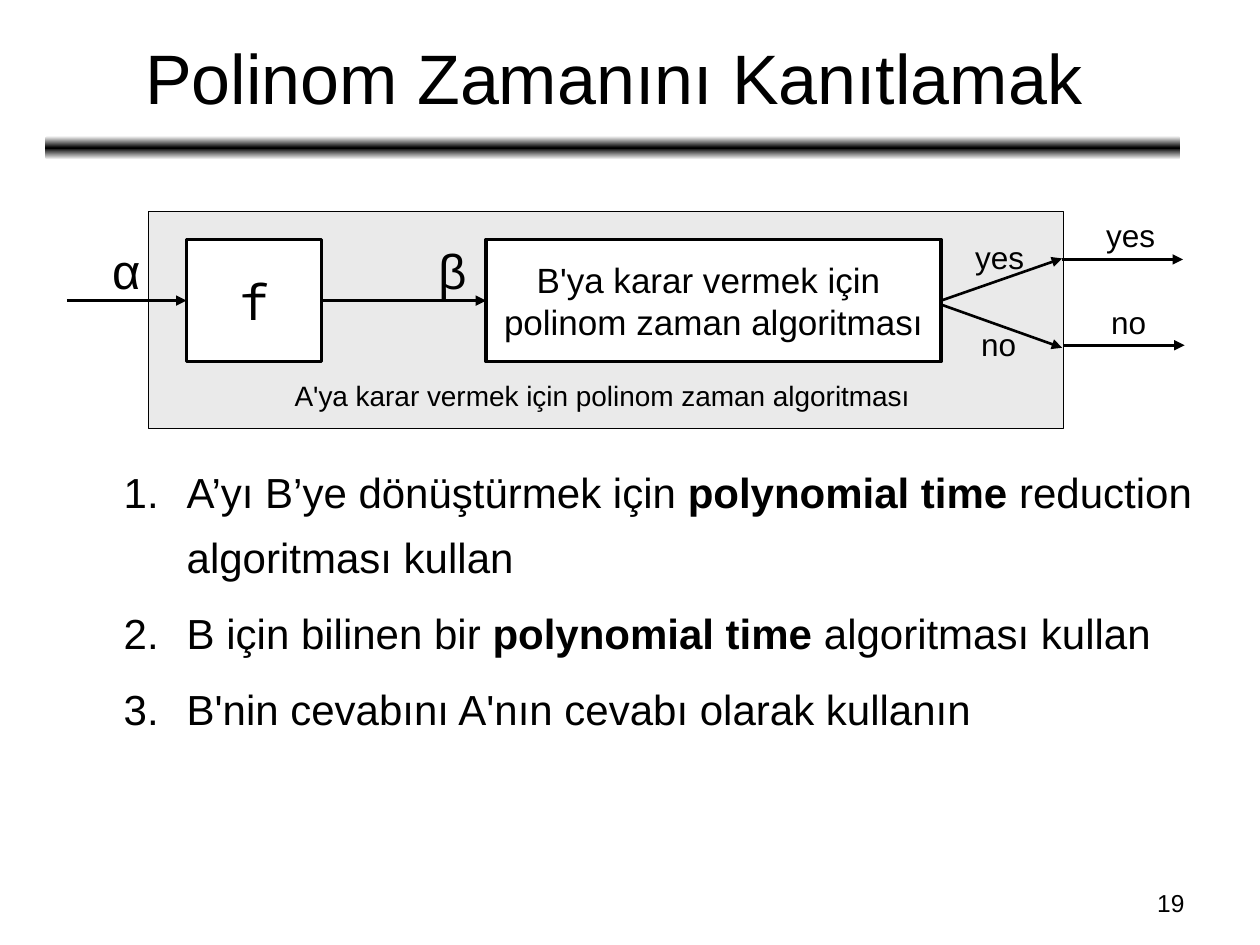
"""Build the slide on proving polynomial time by reduction."""
from copy import deepcopy
from dataclasses import dataclass
from typing import Optional

from lxml.etree import SubElement
from pptx import Presentation
from pptx.dml.color import RGBColor
from pptx.enum.shapes import MSO_CONNECTOR, MSO_SHAPE
from pptx.enum.text import MSO_ANCHOR, MSO_AUTO_SIZE, PP_ALIGN
from pptx.oxml.ns import qn
from pptx.util import Cm, Pt

BLACK = "000000"
WHITE = "FFFFFF"
TOP, LEFT, BOTTOM, RIGHT = range(4)


@dataclass
class Area:
    left: float
    top: float
    width: float
    height: float

    def lengths(self) -> list:
        return [Cm(value) for value in (self.left, self.top, self.width, self.height)]


@dataclass
class Block:
    area: Area
    lines: list[str]
    size: int
    fill: str = WHITE
    border: float = 2
    font: str = "Arial"
    anchor: MSO_ANCHOR = MSO_ANCHOR.MIDDLE
    bottom_inset: float = 0.13


@dataclass
class Label:
    text: str
    area: Area
    size: int = 18


@dataclass
class Arrow:
    start: tuple[float, float]
    end: tuple[float, float]
    source: Optional[object] = None
    target: Optional[object] = None


def color(value: str) -> RGBColor:
    return RGBColor.from_string(value)


def style_paragraph(para, size: int, align=PP_ALIGN.LEFT, font: str = "Arial") -> None:
    para.alignment = align
    para.font.size = Pt(size)
    para.font.name = font
    para.font.color.rgb = color(BLACK)


def place(shape, area: Area) -> None:
    shape.left, shape.top, shape.width, shape.height = area.lengths()


def draw_rule(page, area: Area) -> None:
    bar = page.shapes.add_shape(MSO_SHAPE.ROUNDED_RECTANGLE, *area.lengths())
    bar.shadow.inherit = False
    bar.line.fill.background()
    bar.fill.gradient()
    bar.fill.gradient_angle = 90
    stop_list = bar._element.spPr.find(qn("a:gradFill")).find(qn("a:gsLst"))
    stop_list.append(deepcopy(stop_list[-1]))
    for stop, position, shade in zip(bar.fill.gradient_stops, (0, 0.5, 1), (WHITE, BLACK, WHITE)):
        stop.position = position
        stop.color.rgb = color(shade)


def draw_block(page, block: Block):
    box = page.shapes.add_shape(MSO_SHAPE.RECTANGLE, *block.area.lengths())
    box.shadow.inherit = False
    box.fill.solid()
    box.fill.fore_color.rgb = color(block.fill)
    box.line.color.rgb = color(BLACK)
    box.line.width = Pt(block.border)
    frame = box.text_frame
    frame.word_wrap = False
    frame.vertical_anchor = block.anchor
    frame.margin_bottom = Cm(block.bottom_inset)
    frame.text = "\n".join(block.lines)
    for para in frame.paragraphs:
        style_paragraph(para, block.size, PP_ALIGN.CENTER, block.font)
    return box


def draw_label(page, label: Label, align=PP_ALIGN.LEFT) -> None:
    box = page.shapes.add_textbox(*label.area.lengths())
    box.text_frame.word_wrap = False
    box.text_frame.text = label.text
    style_paragraph(box.text_frame.paragraphs[0], label.size, align)


def draw_arrow(page, arrow: Arrow) -> None:
    ends = [Cm(value) for value in arrow.start + arrow.end]
    connector = page.shapes.add_connector(MSO_CONNECTOR.STRAIGHT, *ends)
    if arrow.source is not None:
        connector.begin_connect(arrow.source, RIGHT)
    if arrow.target is not None:
        connector.end_connect(arrow.target, LEFT)
    connector.line.color.rgb = color(BLACK)
    connector.line.width = Pt(1.5)
    SubElement(connector.line._get_or_add_ln(), qn("a:tailEnd"), type="triangle")
    SubElement(connector._element.spPr, qn("a:effectLst"))


def write_title(title, text: str) -> None:
    place(title, Area(0.94, 0.28, 22.86, 2.51))
    title.text_frame.text = text
    title.text_frame.vertical_anchor = MSO_ANCHOR.MIDDLE
    style_paragraph(title.text_frame.paragraphs[0], 40, PP_ALIGN.CENTER)


def write_steps(body, steps: list[list[tuple[str, bool]]]) -> None:
    place(body, Area(0.97, 8.97, 23.6, 8.51))
    frame = body.text_frame
    frame.auto_size = MSO_AUTO_SIZE.NONE
    for index, step in enumerate(steps):
        para = frame.add_paragraph() if index else frame.paragraphs[0]
        para.level = 1
        para.line_spacing = 1.3
        para.space_before = Pt(6)
        properties = para._p.get_or_add_pPr()
        properties.set("marL", str(Cm(2.54)))
        properties.set("indent", str(Cm(-1.27)))
        SubElement(properties, qn("a:buFont"), typeface="Arial")
        SubElement(properties, qn("a:buAutoNum"), type="arabicPeriod")
        style_paragraph(para, 24)
        for text, bold in step:
            span = para.add_run()
            span.text = text
            span.font.bold = bold


def draw_diagram(page) -> None:
    draw_block(page, Block(
        Area(3, 4.27, 18.44, 4.37), ["A'ya karar vermek için polinom zaman algoritması "],
        16, "EAEAEA", 0.75, anchor=MSO_ANCHOR.BOTTOM, bottom_inset=0.33))
    reduction = draw_block(page, Block(
        Area(3.76, 4.83, 2.72, 2.46), ["f"], 28, font="Noto Sans Mono"))
    decider = draw_block(page, Block(
        Area(9.8, 4.83, 9.17, 2.46),
        ["B'ya karar vermek için ", "polinom zaman algoritması"], 20))
    for arrow in (
        Arrow((1.35, 6.06), (3.76, 6.06), target=reduction),
        Arrow((6.48, 6.06), (9.8, 6.06), reduction, decider),
        Arrow((18.97, 6.06), (21.41, 5.21), source=decider),
        Arrow((19, 6.15), (21.41, 7.01)),
        Arrow((21.41, 5.23), (23.85, 5.23)),
        Arrow((21.44, 6.96), (23.88, 6.96)),
    ):
        draw_arrow(page, arrow)
    for label in (
        Label("α", Area(2.01, 4.72, 1.12, 1.45), 28),
        Label("β", Area(8.59, 4.72, 1.04, 1.45), 28),
        Label("yes", Area(19.41, 4.67, 1.5, 1.02)),
        Label("no", Area(19.53, 6.43, 1.22, 1.02)),
        Label("yes", Area(22.05, 4.24, 1.5, 1.02)),
        Label("no", Area(22.15, 5.99, 1.22, 1.02)),
    ):
        draw_label(page, label)


def main() -> None:
    deck = Presentation()
    deck.slide_width, deck.slide_height = Cm(25.4), Cm(19.05)
    page = deck.slides.add_slide(deck.slide_layouts[1])
    write_title(page.shapes.title, "Polinom Zamanını Kanıtlamak")
    write_steps(page.placeholders[1], [
        [("A’yı B’ye dönüştürmek için ", False), ("polynomial time", True),
         (" reduction algoritması kullan", False)],
        [("B için bilinen bir ", False), ("polynomial time", True),
         (" algoritması kullan", False)],
        [("B'nin cevabını A'nın cevabı olarak kullanın", False)],
    ])
    draw_rule(page, Area(0.91, 2.74, 22.89, 0.48))
    draw_diagram(page)
    draw_label(page, Label("19", Area(18.21, 17.78, 5.92, 0.89), 14), PP_ALIGN.RIGHT)
    deck.save("out.pptx")


if __name__ == "__main__":
    main()
